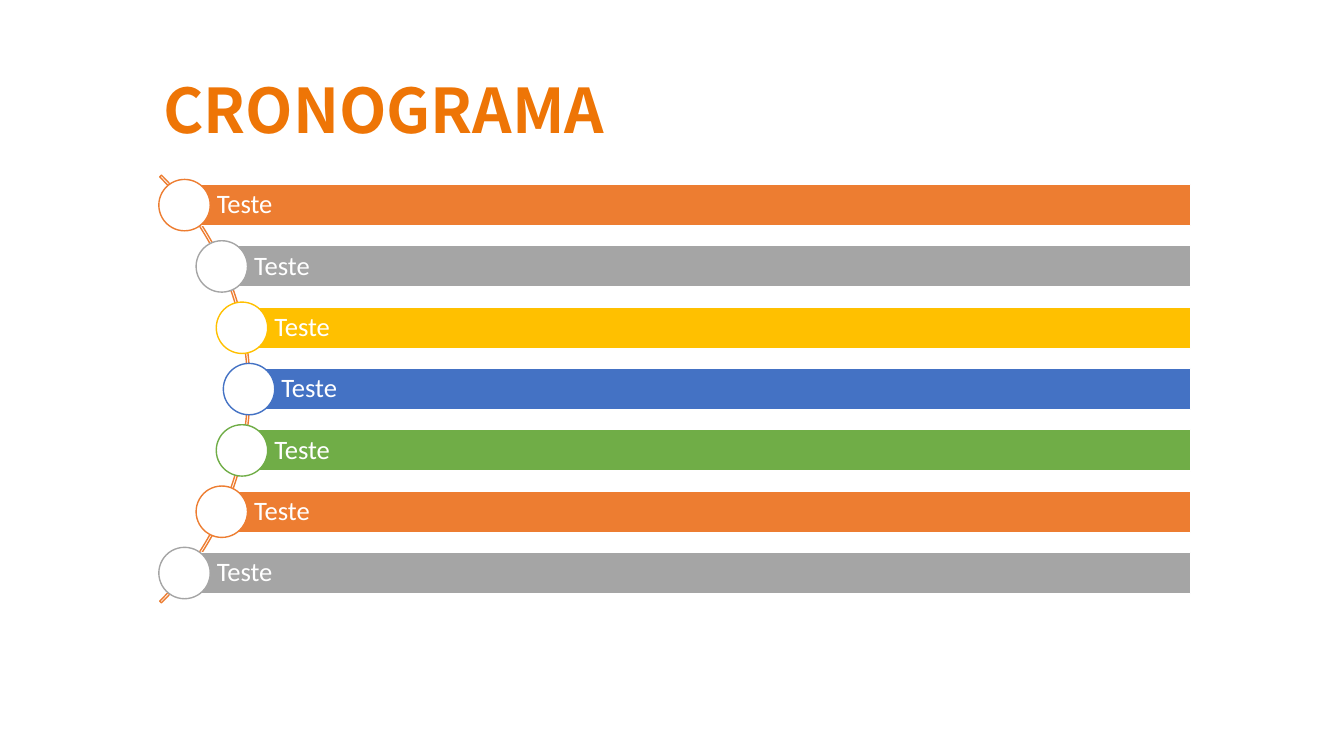
import pptx
import pptx.dml.color
import pptx.enum.shapes
import pptx.enum.text
import pptx.util

SHAPES = pptx.enum.shapes.MSO_SHAPE
TEXT = pptx.enum.text
inches = pptx.util.Inches

BAR_COLOURS = ["ED7D31", "A5A5A5", "FFC000", "4472C4", "70AD47", "ED7D31", "A5A5A5"]
# Bar starts by distance from the middle row, following the arc
BAR_STARTS = [2.47, 2.4, 2.2, 1.83]
MIDDLE = len(BAR_COLOURS) // 2
CENTRE_Y = 3.86
ROW_PITCH = (5.48 - 1.83) / (len(BAR_COLOURS) - 1)
BAR_RIGHT = 11.81
BAR_HEIGHT = 0.41
CIRCLE_SIZE = 0.51
ARC_SIZE = 6
ARC_LEFT = -3.52


def colour(code):
    return pptx.dml.color.RGBColor.from_string(code)


def apply_format(target, values):
    for name, value in values.items():
        setattr(target, name, value)


def add_outlined(slide, kind, box, fill, line):
    """Add a preset shape with a thin line; fill None leaves it open."""
    shape = slide.shapes.add_shape(kind, *map(inches, box))
    shape.shadow.inherit = False
    if fill is None:
        shape.fill.background()
    else:
        shape.fill.solid()
        shape.fill.fore_color.rgb = colour(fill)
    shape.line.color.rgb = colour(line)
    shape.line.width = pptx.util.Pt(1)
    return shape


def write_text(shape, words, font, code, inset):
    frame = shape.text_frame
    apply_format(frame, {
        "word_wrap": True,
        "auto_size": TEXT.MSO_AUTO_SIZE.NONE,
        "vertical_anchor": TEXT.MSO_ANCHOR.MIDDLE,
        **{name: inches(value) for name, value in inset.items()},
    })
    para = frame.paragraphs[0]
    apply_format(para, {"alignment": TEXT.PP_ALIGN.LEFT, "line_spacing": 0.9})
    span = para.add_run()
    span.text = words
    apply_format(span.font, font)
    span.font.color.rgb = colour(code)


def add_title(slide, words):
    title = slide.shapes.title
    box = {"left": 1.52, "top": 0.4, "width": 10.9, "height": 1.45}
    apply_format(title, {name: inches(value) for name, value in box.items()})
    font = {"name": "Noto Sans CJK SC", "size": pptx.util.Pt(44), "bold": True}
    write_text(title, words, font, "EE7506", {"margin_left": 0.1})


def add_arc(slide):
    box = (ARC_LEFT, CENTRE_Y - ARC_SIZE / 2, ARC_SIZE, ARC_SIZE)
    arc = add_outlined(slide, SHAPES.BLOCK_ARC, box, None, BAR_COLOURS[0])
    for index, value in enumerate((189, 27, 0.004)):
        arc.adjustments[index] = value


def add_step(slide, row, words, code):
    """Add one labelled bar with the circle centred on its left end."""
    left = BAR_STARTS[abs(row - MIDDLE)]
    centre = CENTRE_Y + (row - MIDDLE) * ROW_PITCH
    bar_box = (left, centre - BAR_HEIGHT / 2, BAR_RIGHT - left, BAR_HEIGHT)
    bar = add_outlined(slide, SHAPES.RECTANGLE, bar_box, code, "FFFFFF")
    font = {"name": "Calibri", "size": pptx.util.Pt(19)}
    inset = {"margin_left": 0.32, "margin_right": 0.05,
             "margin_top": 0.05, "margin_bottom": 0.05}
    write_text(bar, words, font, "FFFFFF", inset)
    radius = CIRCLE_SIZE / 2
    circle_box = (left - radius, centre - radius, CIRCLE_SIZE, CIRCLE_SIZE)
    add_outlined(slide, SHAPES.OVAL, circle_box, "FFFFFF", code)


def main():
    deck = pptx.Presentation()
    apply_format(deck, {"slide_width": inches(13.33), "slide_height": inches(7.5)})
    slide = deck.slides.add_slide(deck.slide_layouts.get_by_name("Title Only"))
    add_title(slide, "CRONOGRAMA")
    add_arc(slide)
    for row, code in enumerate(BAR_COLOURS):
        add_step(slide, row, "Teste", code)
    deck.save("out.pptx")


if __name__ == "__main__":
    main()
